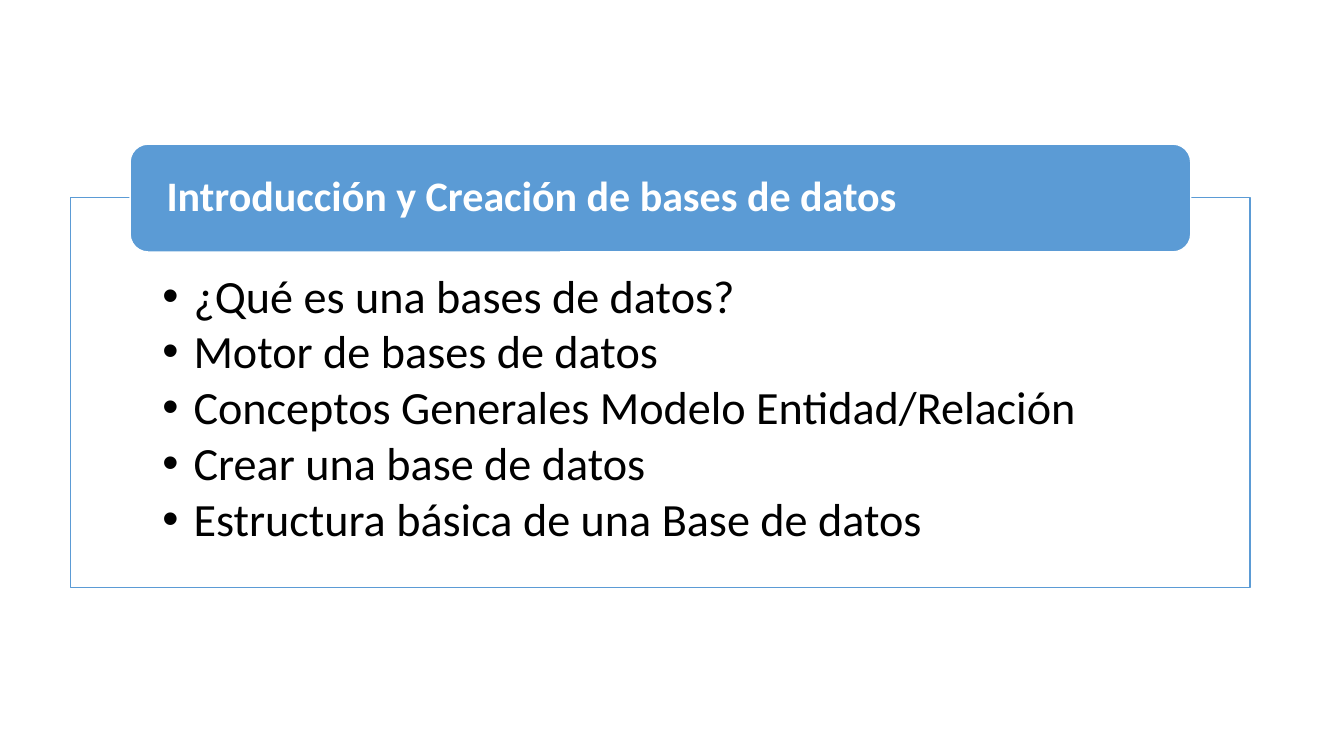
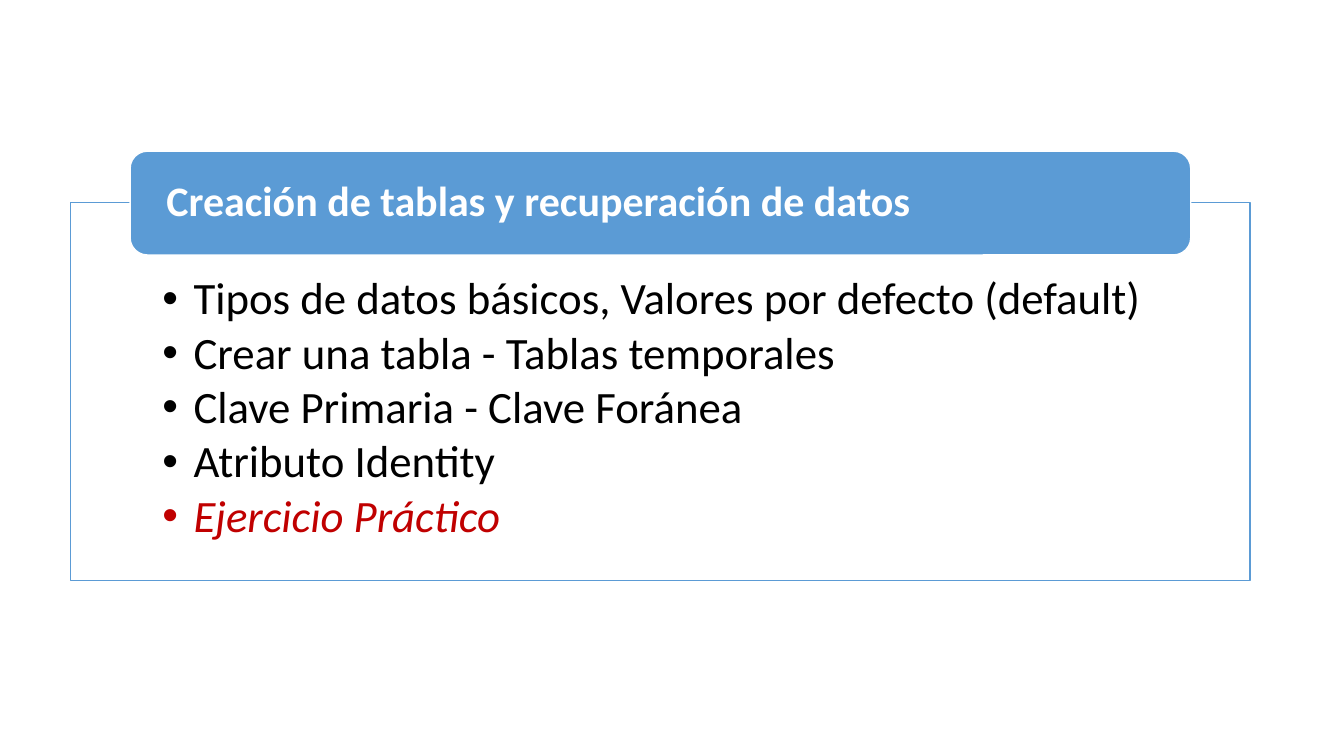
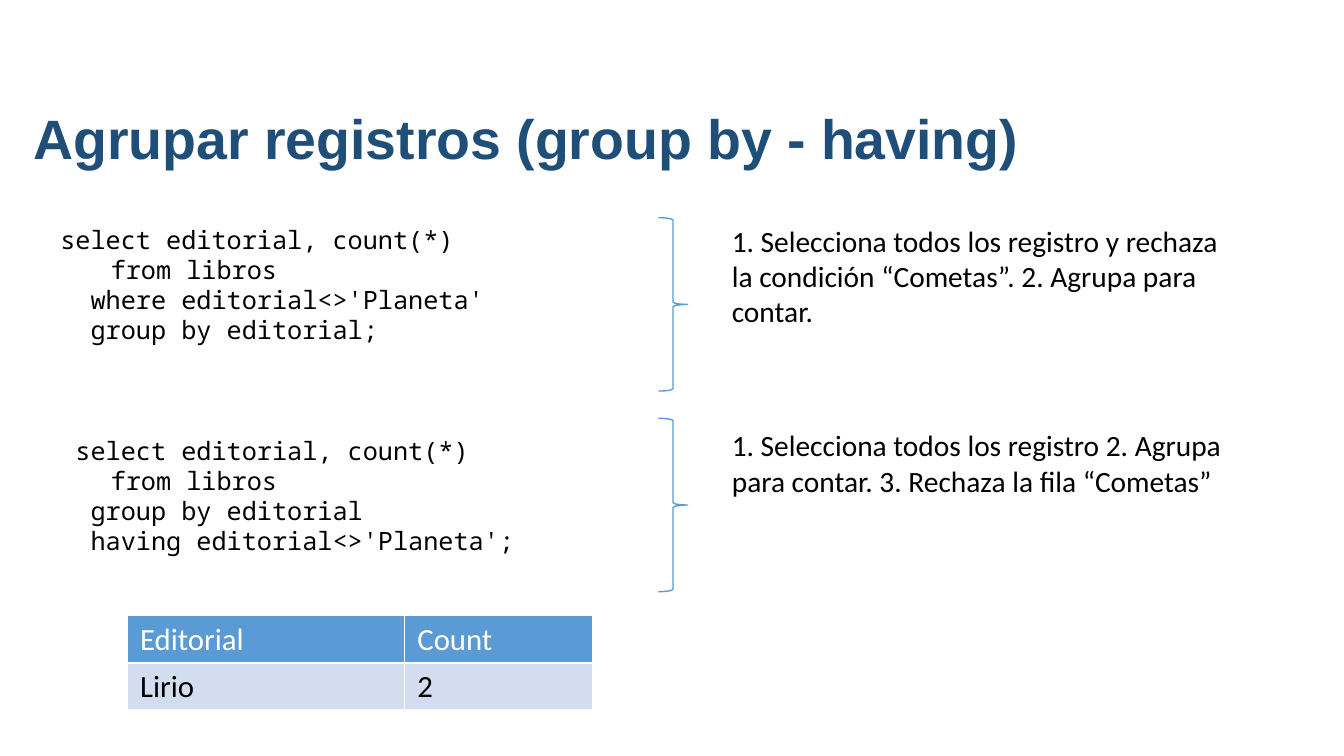
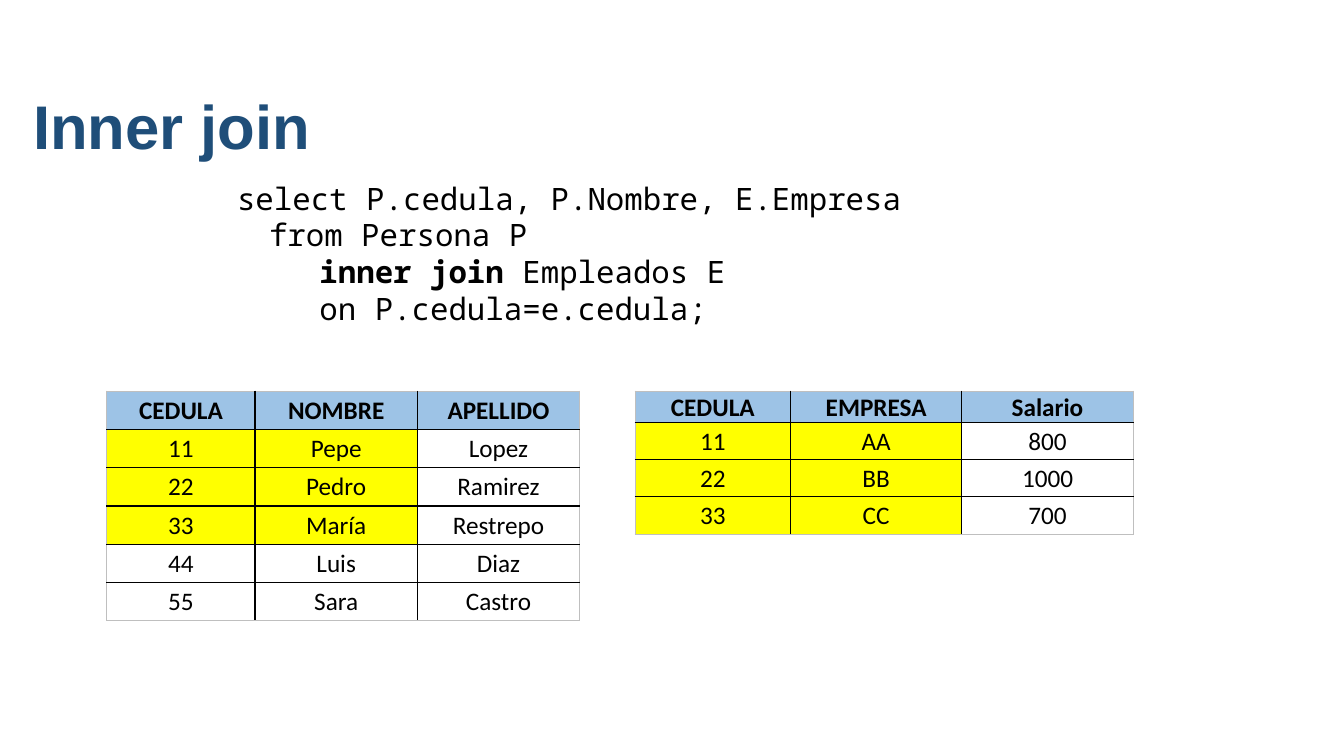
from dataclasses import dataclass

from lxml import etree
from pptx import Presentation
from pptx.dml.color import RGBColor
from pptx.enum.shapes import MSO_SHAPE
from pptx.enum.text import MSO_ANCHOR, MSO_AUTO_SIZE, PP_ALIGN
from pptx.oxml.ns import qn
from pptx.util import Inches, Pt


@dataclass(frozen=True)
class Theme:
    blue: str = "5B9BD5"
    navy: str = "1F4E79"
    sky: str = "9DC3E6"
    pale: str = "D2DEEF"
    yellow: str = "FFFF00"
    red: str = "C00000"
    gray: str = "BFBFBF"
    black: str = "000000"
    white: str = "FFFFFF"
    body_font: str = "Calibri"
    title_font: str = "Arial"
    code_font: str = "Noto Sans Mono"
    heading_size: float = 30
    note_size: float = 21
    result_size: float = 22
    data_size: float = 18
    code_leading: float = 1.195


THEME = Theme()


@dataclass(frozen=True)
class Span:
    text: str
    bold: bool = False
    italic: bool = False
    color: str = THEME.black


@dataclass(frozen=True)
class Box:
    left: float
    top: float
    width: float
    height: float

    def lengths(self):
        return [Inches(value) for value in (self.left, self.top, self.width, self.height)]


@dataclass(frozen=True)
class Unit:
    heading: str
    topics: tuple[Span, ...]
    topic_size: float
    panel: Box
    header: Box
    top_inset: float


@dataclass(frozen=True)
class TableStyle:
    size: float
    header_fill: str
    header_color: str
    header_bold: bool
    inner_line: str
    outer_line: str
    margins: tuple[float, float, float, float]
    align: PP_ALIGN
    anchor: MSO_ANCHOR


@dataclass(frozen=True)
class DataTable:
    left: float
    top: float
    columns: tuple[float, ...]
    row_heights: tuple[float, ...]
    rows: tuple[tuple[str, ...], ...]
    marked_rows: int
    marked_columns: int
    marked_fill: str


RESULT_STYLE = TableStyle(THEME.result_size, THEME.blue, THEME.white, False, THEME.white,
                          THEME.white, (0.13, 0.05, 0.13, 0.05), PP_ALIGN.LEFT, MSO_ANCHOR.TOP)
DATA_STYLE = TableStyle(THEME.data_size, THEME.sky, THEME.black, True, THEME.black,
                        THEME.gray, (0.01, 0.01, 0.01, 0), PP_ALIGN.CENTER, MSO_ANCHOR.MIDDLE)

UNITS = (
    Unit(
        "Introducción y Creación de bases de datos",
        (
            Span("¿Qué es una bases de datos?"),
            Span("Motor de bases de datos"),
            Span("Conceptos Generales Modelo Entidad/Relación"),
            Span("Crear una base de datos"),
            Span("Estructura básica de una Base de datos"),
        ),
        33, Box(0.7, 1.96, 11.7, 3.87), Box(1.29, 1.43, 10.52, 1.07), 0.75,
    ),
    Unit(
        "Creación de tablas y recuperación de datos",
        (
            Span("Tipos de datos básicos, Valores por defecto (default)"),
            Span("Crear una tabla - Tablas temporales"),
            Span("Clave Primaria - Clave Foránea"),
            Span("Atributo Identity"),
            Span("Ejercicio Práctico", italic=True, color=THEME.red),
        ),
        32, Box(0.7, 2.01, 11.7, 3.75), Box(1.29, 1.5, 10.52, 1.03), 0.73,
    ),
)

GROUP_QUERIES = (
    (
        (Span("select editorial, count(*)"),),
        (Span("\tfrom libros"),),
        (Span("  where editorial<>'Planeta'"),),
        (Span("  group by editorial;"),),
    ),
    (
        (Span(" select editorial, count(*)"),),
        (Span("\tfrom libros"),),
        (Span("  group by editorial"),),
        (Span("  having editorial<>'Planeta';"),),
    ),
)

GROUP_NOTES = (
    (Box(7.16, 2.16, 5.19, 1.16),
     "1. Selecciona todos los registro y rechaza la condición “Cometas”. 2. Agrupa para contar."),
    (Box(7.16, 4.19, 5.19, 0.81),
     "1. Selecciona todos los registro 2. Agrupa para contar. 3. Rechaza la fila “Cometas”"),
)

BRACES = (Box(6.53, 2.16, 0.29, 1.72), Box(6.53, 4.15, 0.29, 1.72))

JOIN_QUERY = (
    (
        (Span(" select P.cedula, P.Nombre, E.Empresa"),),
        (Span("\tfrom Persona P"),),
        (Span("  \t\t"), Span("inner join ", bold=True), Span("Empleados E")),
        (Span(" \t\ton P.cedula=e.cedula;"),),
    ),
)

RESULT = DataTable(1.26, 6.11, (2.75, 1.87), (0.46,) * 2,
                   (("Editorial", "Count"), ("Lirio", "2")), 1, 2, THEME.pale)

PEOPLE = DataTable(
    1.06, 3.88, (1.47, 1.61, 1.61), (0.38,) * 6,
    (
        ("CEDULA", "NOMBRE", "APELLIDO"),
        ("11", "Pepe", "Lopez"),
        ("22", "Pedro", "Ramirez"),
        ("33", "María", "Restrepo"),
        ("44", "Luis", "Diaz"),
        ("55", "Sara", "Castro"),
    ),
    3, 2, THEME.yellow,
)

EMPLOYEES = DataTable(
    6.3, 3.88, (1.54, 1.7, 1.7), (0.31, 0.37, 0.37, 0.37),
    (
        ("CEDULA", "EMPRESA", "Salario"),
        ("11", "AA", "800"),
        ("22", "BB", "1000"),
        ("33", "CC", "700"),
    ),
    3, 2, THEME.yellow,
)


def rgb(color: str) -> RGBColor:
    return RGBColor.from_string(color)


def add_span(paragraph, span: Span, size: float, font: str) -> None:
    run = paragraph.add_run()
    run.text = span.text
    run.font.name = font
    run.font.size = Pt(size)
    run.font.bold = span.bold
    run.font.italic = span.italic
    run.font.color.rgb = rgb(span.color)


def next_paragraph(frame, index: int):
    return frame.add_paragraph() if index else frame.paragraphs[0]


def set_margins(target, margins: tuple[float, float, float, float]) -> None:
    (target.margin_left, target.margin_top,
     target.margin_right, target.margin_bottom) = [Inches(value) for value in margins]


def add_bullet(paragraph) -> None:
    properties = paragraph._p.get_or_add_pPr()
    properties.set("marL", str(Inches(0.31)))
    properties.set("indent", str(-Inches(0.31)))
    etree.SubElement(properties, qn("a:buFont"), typeface="Arial")
    etree.SubElement(properties, qn("a:buChar"), char="•")


def add_preset(slide, preset: MSO_SHAPE, box: Box, fill: str | None, line: str):
    shape = slide.shapes.add_shape(preset, *box.lengths())
    shape.shadow.inherit = False
    if fill:
        shape.fill.solid()
        shape.fill.fore_color.rgb = rgb(fill)
    else:
        shape.fill.background()
    shape.line.color.rgb = rgb(line)
    shape.line.width = Pt(1)
    return shape


def add_title(slide, text: str, size: float, top: float) -> None:
    title = slide.shapes.title
    title.left, title.top, title.width, title.height = Box(0.23, top, 12.46, 1.25).lengths()
    frame = title.text_frame
    frame.word_wrap = True
    frame.auto_size = MSO_AUTO_SIZE.NONE
    frame.vertical_anchor = MSO_ANCHOR.MIDDLE
    paragraph = frame.paragraphs[0]
    paragraph.alignment = PP_ALIGN.LEFT
    paragraph.line_spacing = 0.9
    add_span(paragraph, Span(text, bold=True, color=THEME.navy), size, THEME.title_font)


def add_text_frame(slide, box: Box):
    frame = slide.shapes.add_textbox(*box.lengths()).text_frame
    frame.word_wrap = True
    return frame


def add_code(slide, box: Box, queries: tuple, size: float) -> None:
    frame = add_text_frame(slide, box)
    leading = round(size * THEME.code_leading, 1)
    starts = {id(query[0]) for query in queries[1:]}
    lines = [line for query in queries for line in query]
    query_starts = [sum(len(query) for query in queries[:index])
                    for index in range(1, len(queries))]
    for index, line in enumerate(lines):
        paragraph = next_paragraph(frame, index)
        paragraph._p.get_or_add_pPr().set("marL", str(Inches(0.5)))
        paragraph.line_spacing = Pt(leading)
        if index in query_starts:
            paragraph.space_before = Pt(3 * leading)
        for span in line:
            add_span(paragraph, span, size, THEME.code_font)


def add_border(cell, side: str, color: str) -> None:
    line = etree.SubElement(cell._tc.get_or_add_tcPr(), qn(f"a:ln{side}"), w=str(Pt(1)))
    fill = etree.SubElement(line, qn("a:solidFill"))
    etree.SubElement(fill, qn("a:srgbClr"), val=color)


def add_data_table(slide, data: DataTable, style: TableStyle) -> None:
    box = Box(data.left, data.top, sum(data.columns), sum(data.row_heights))
    row_count, column_count = len(data.rows), len(data.columns)
    table = slide.shapes.add_table(row_count, column_count, *box.lengths()).table
    table.first_row = False
    table.horz_banding = False
    for column, width in zip(table.columns, data.columns):
        column.width = Inches(width)
    for row, height in zip(table.rows, data.row_heights):
        row.height = Inches(height)
    for row_index, values in enumerate(data.rows):
        header = row_index == 0
        for column_index, value in enumerate(values):
            cell = table.cell(row_index, column_index)
            edges = {
                "L": column_index == 0,
                "R": column_index == column_count - 1,
                "T": header,
                "B": row_index == row_count - 1,
            }
            for side, outer in edges.items():
                add_border(cell, side, style.outer_line if outer else style.inner_line)
            marked = row_index <= data.marked_rows and column_index < data.marked_columns
            body_fill = data.marked_fill if marked else THEME.white
            cell.fill.solid()
            cell.fill.fore_color.rgb = rgb(style.header_fill if header else body_fill)
            set_margins(cell, style.margins)
            cell.vertical_anchor = style.anchor
            paragraph = cell.text_frame.paragraphs[0]
            paragraph.alignment = style.align
            span = Span(value, bold=header and style.header_bold,
                        color=style.header_color if header else THEME.black)
            add_span(paragraph, span, style.size, THEME.body_font)


def build_unit(slide, unit: Unit) -> None:
    panel = add_preset(slide, MSO_SHAPE.RECTANGLE, unit.panel, THEME.white, THEME.blue)
    frame = panel.text_frame
    frame.word_wrap = True
    frame.vertical_anchor = MSO_ANCHOR.TOP
    set_margins(frame, (0.91, unit.top_inset, 0.91, 0.25))
    for index, topic in enumerate(unit.topics):
        paragraph = next_paragraph(frame, index)
        add_bullet(paragraph)
        paragraph.alignment = PP_ALIGN.LEFT
        paragraph.line_spacing = 0.9
        paragraph.space_after = Pt(4.2)
        add_span(paragraph, topic, unit.topic_size, THEME.body_font)

    header = add_preset(slide, MSO_SHAPE.ROUNDED_RECTANGLE, unit.header, THEME.blue, THEME.white)
    frame = header.text_frame
    frame.word_wrap = True
    frame.vertical_anchor = MSO_ANCHOR.MIDDLE
    set_margins(frame, (0.31, 0, 0.31, 0))
    paragraph = frame.paragraphs[0]
    paragraph.alignment = PP_ALIGN.LEFT
    paragraph.line_spacing = 0.9
    heading = Span(unit.heading, bold=True, color=THEME.white)
    add_span(paragraph, heading, THEME.heading_size, THEME.body_font)


def build_grouping(slide) -> None:
    add_title(slide, "Agrupar registros (group by - having)", 39.6, 0.78)
    add_code(slide, Box(0, 2.18, 6.53, 3.43), GROUP_QUERIES, 18)
    for brace in BRACES:
        add_preset(slide, MSO_SHAPE.RIGHT_BRACE, brace, None, THEME.blue)
    for box, note in GROUP_NOTES:
        frame = add_text_frame(slide, box)
        add_span(frame.paragraphs[0], Span(note), THEME.note_size, THEME.body_font)
    add_data_table(slide, RESULT, RESULT_STYLE)


def build_join(slide) -> None:
    add_title(slide, "Inner join", 44, 0.66)
    add_code(slide, Box(1.57, 1.73, 9.47, 1.58), JOIN_QUERY, 22)
    for data in (PEOPLE, EMPLOYEES):
        add_data_table(slide, data, DATA_STYLE)


def main() -> None:
    presentation = Presentation()
    presentation.slide_width = Inches(13.33)
    presentation.slide_height = Inches(7.5)
    title_only, blank = presentation.slide_layouts[5], presentation.slide_layouts[6]
    for unit in UNITS:
        build_unit(presentation.slides.add_slide(blank), unit)
    for build in (build_grouping, build_join):
        build(presentation.slides.add_slide(title_only))
    presentation.save("out.pptx")


if __name__ == "__main__":
    main()
